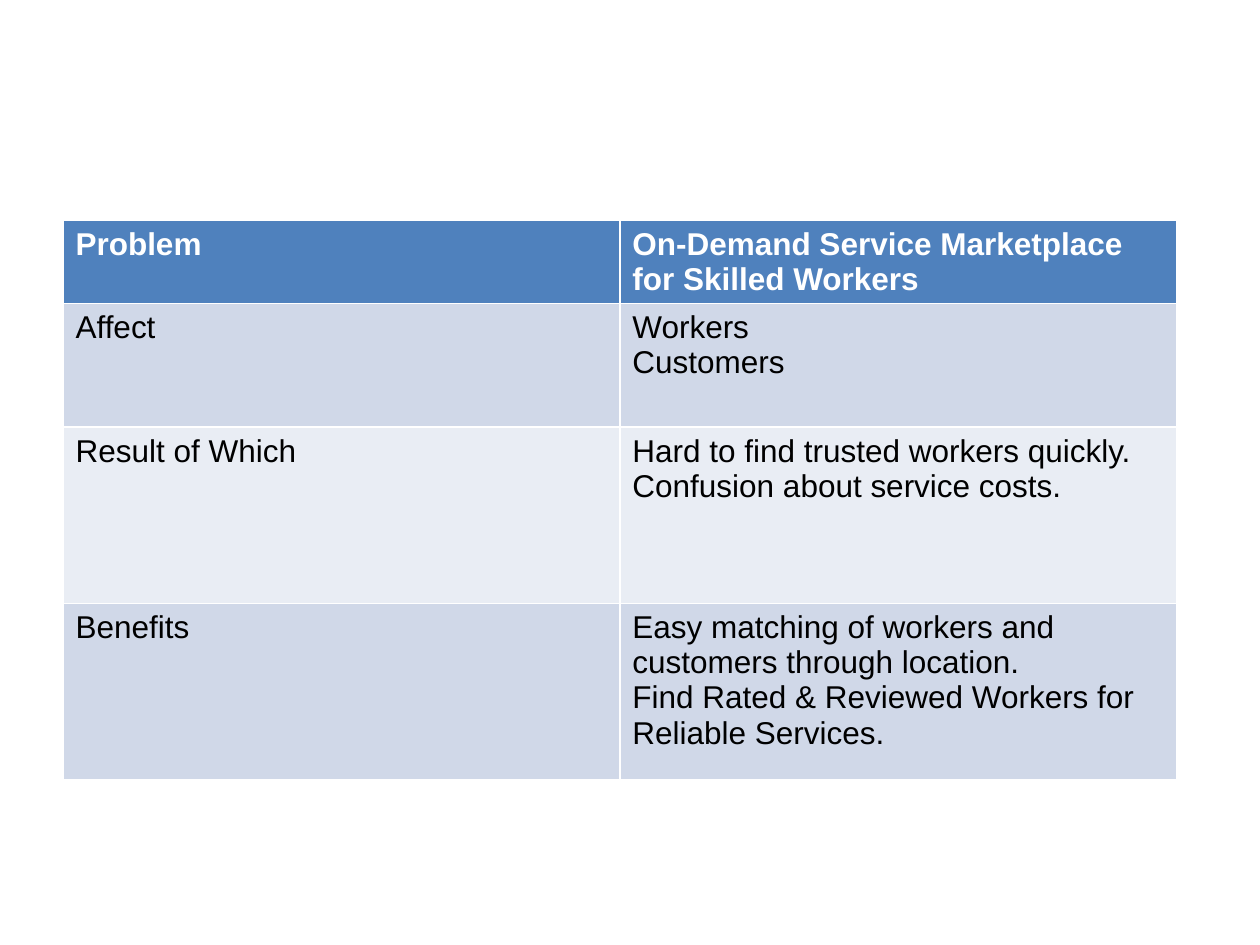
from pptx import Presentation
from pptx.dml.color import RGBColor
from pptx.util import Inches, Pt

WHITE = RGBColor(0xFF, 0xFF, 0xFF)
BLACK = RGBColor(0x00, 0x00, 0x00)
HEADER_BLUE = RGBColor(0x4F, 0x81, 0xBD)
BANDS = (RGBColor(0xD0, 0xD8, 0xE8), RGBColor(0xE9, 0xED, 0xF4))

ROW_HEIGHTS = (0.57, 0.98, 1.4, 1.4)
COLUMN_WIDTH = 4.42
STATEMENT = (
    ("Problem", "On-Demand Service Marketplace for Skilled Workers"),
    ("Affect", "Workers\nCustomers"),
    ("Result of Which",
     "Hard to find trusted workers quickly.\nConfusion about service costs."),
    ("Benefits",
     "Easy matching of workers and customers through location.\n"
     "Find Rated & Reviewed Workers for Reliable Services."),
)


def fill_cell(cell, text, background, color, bold):
    cell.fill.solid()
    cell.fill.fore_color.rgb = background
    cell.text_frame.text = text
    for paragraph in cell.text_frame.paragraphs:
        for run in paragraph.runs:
            run.font.name = "Arial"
            run.font.size = Pt(18)
            run.font.bold = bold
            run.font.color.rgb = color


def add_problem_table(slide, left, top):
    columns = len(STATEMENT[0])
    table = slide.shapes.add_table(
        len(STATEMENT), columns, left, top,
        Inches(COLUMN_WIDTH * columns), Inches(sum(ROW_HEIGHTS))).table
    for column in table.columns:
        column.width = Inches(COLUMN_WIDTH)
    for index, (entries, height) in enumerate(zip(STATEMENT, ROW_HEIGHTS)):
        is_header = index == 0
        background = HEADER_BLUE if is_header else BANDS[(index - 1) % 2]
        color = WHITE if is_header else BLACK
        table.rows[index].height = Inches(height)
        for cell, text in zip(table.rows[index].cells, entries):
            fill_cell(cell, text, background, color, is_header)


def main():
    deck = Presentation()
    deck.slide_width = Inches(10)
    deck.slide_height = Inches(7.5)
    slide = deck.slides.add_slide(deck.slide_layouts[6])
    add_problem_table(slide, Inches(0.5), Inches(1.75))
    deck.save("out.pptx")


if __name__ == "__main__":
    main()
